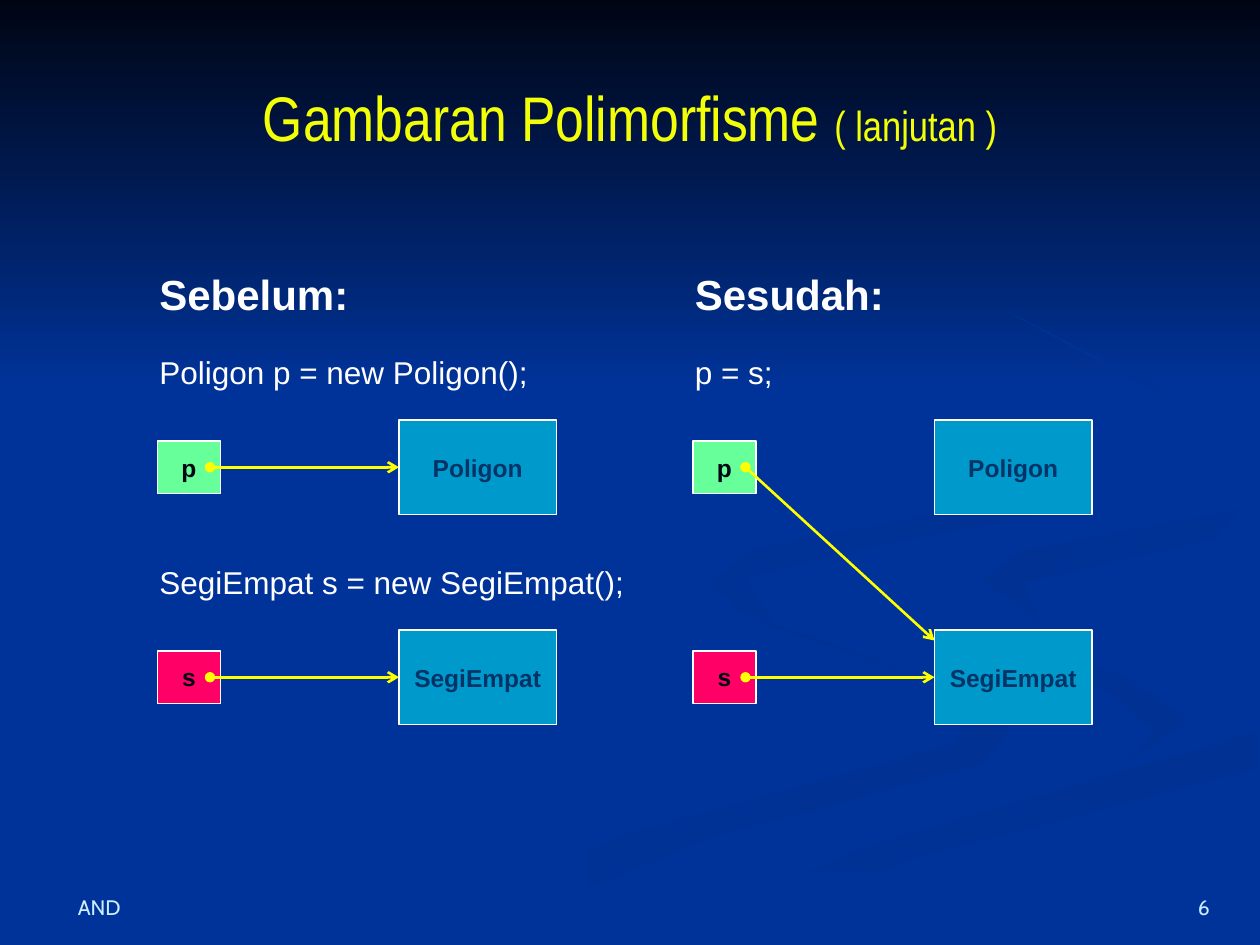
from lxml import etree
from pptx import Presentation
from pptx.dml.color import RGBColor
from pptx.enum.shapes import MSO_CONNECTOR, MSO_SHAPE
from pptx.enum.text import MSO_ANCHOR, PP_ALIGN
from pptx.oxml.ns import qn
from pptx.util import Pt

RECT, STRAIGHT = MSO_SHAPE.RECTANGLE, MSO_CONNECTOR.STRAIGHT
MIDDLE, BOTTOM, TOP = MSO_ANCHOR.MIDDLE, MSO_ANCHOR.BOTTOM, MSO_ANCHOR.TOP
LEFT, CENTER, RIGHT = PP_ALIGN.LEFT, PP_ALIGN.CENTER, PP_ALIGN.RIGHT

NIGHT = RGBColor(0x00, 0x05, 0x14)
BLUE = RGBColor(0x00, 0x33, 0x99)
SHADE = RGBColor(0x00, 0x31, 0x93)
NAVY = RGBColor(0x00, 0x33, 0x66)
TEAL = RGBColor(0x00, 0x99, 0xCC)
GREEN = RGBColor(0x66, 0xFF, 0x99)
PINK = RGBColor(0xFF, 0x00, 0x66)
YELLOW = RGBColor(0xFF, 0xFF, 0x00)
TITLE_YELLOW = RGBColor(0xF3, 0xFF, 0x07)
WHITE = RGBColor(0xFF, 0xFF, 0xFF)
PALE = RGBColor(0xCC, 0xEC, 0xFF)

# Background areas: first colour, last colour, gradient angle, outline in points
BACKDROP = [
    (NIGHT, BLUE, 270, [(0, 0), (720, 0), (720, 222), (0, 222)]),
    (BLUE, SHADE, 0, [(562, 399), (438, 357), (414, 330), (418, 348), (559, 398), (546, 425),
                      (359, 476), (216, 539), (260, 539), (406, 479), (562, 436), (576, 418)]),
    (BLUE, SHADE, 315, [(679, 411), (640, 385), (536, 353), (521, 334), (537, 360),
                        (634, 395), (661, 418), (644, 436)]),
    (SHADE, BLUE, 270, [(362, 539), (411, 539), (520, 491), (719, 439), (719, 418), (501, 482)]),
    (SHADE, BLUE, 315, [(562, 331), (595, 357), (585, 333), (719, 302), (719, 289), (583, 315)]),
    (SHADE, BLUE, 315, [(500, 312), (667, 280), (684, 233), (572, 176), (683, 236), (669, 267),
                        (430, 314), (404, 334), (445, 360), (426, 330)]),
]


def write(sp, text, size, color, font="Arial", bold=False, align=LEFT, anchor=TOP, wrap=True):
    tf = sp.text_frame
    tf.word_wrap = wrap
    tf.vertical_anchor = anchor
    p = tf.paragraphs[0]
    p.text = text
    p.alignment = align
    p.font.name, p.font.size, p.font.bold = font, Pt(size), bold
    p.font.color.rgb = color


prs = Presentation()
prs.slide_width, prs.slide_height = Pt(720), Pt(540)
s = prs.slides.add_slide(prs.slide_layouts[5])
s.background.fill.solid()
s.background.fill.fore_color.rgb = BLUE

for first, last, angle, points in BACKDROP:
    builder = s.shapes.build_freeform(*points[0], scale=Pt(1))
    builder.add_line_segments(points[1:], close=True)
    sp = builder.convert_to_shape()
    sp.shadow.inherit = False
    sp.line.fill.background()
    sp.fill.gradient()
    sp.fill.gradient_angle = angle
    for stop, color, position in zip(sp.fill.gradient_stops, (first, last), (0, 1)):
        stop.color.rgb = color
        stop.position = position

# Title, brought in front of the background
title = s.shapes.title
title.element.getparent().append(title.element)
title.left, title.top, title.width, title.height = Pt(36), Pt(21.6), Pt(648), Pt(90)
write(title, "Gambaran Polimorfisme ", 36, TITLE_YELLOW, "Arial Narrow",
      align=CENTER, anchor=MIDDLE)
r = title.text_frame.paragraphs[0].add_run()
r.text = "( lanjutan )"
r.font.size = Pt(24)

# Two columns, each with a row for p and a row for s
ROWS = [("p", "Poligon", GREEN), ("s", "SegiEmpat", PINK)]
COLUMNS = [
    ("Sebelum:", ["Poligon p = new Poligon();", "SegiEmpat s = new SegiEmpat();"]),
    ("Sesudah:", ["p = s;", None]),
]
for col, (heading, statements) in enumerate(COLUMNS):
    x = 84 + 306 * col
    sp = s.shapes.add_textbox(Pt(x), Pt(150), Pt(282), Pt(36))
    write(sp, heading, 24, WHITE, bold=True)

    for row, (variable, kind, color) in enumerate(ROWS):
        y = 198 + 120 * row
        if statements[row]:
            sp = s.shapes.add_textbox(Pt(x), Pt(y), Pt(282), Pt(28.8))
            write(sp, statements[row], 18, WHITE)

        boxes = [
            (variable, color, NIGHT, x + 6, y + 54, 36, 30),
            (kind, TEAL, NAVY, x + 144, y + 42, 90, 54),
        ]
        for text, fill, ink, left, top, width, height in boxes:
            sp = s.shapes.add_shape(RECT, Pt(left), Pt(top), Pt(width), Pt(height))
            sp.shadow.inherit = False
            sp.fill.solid()
            sp.fill.fore_color.rgb = fill
            sp.line.color.rgb = WHITE
            sp.line.width = Pt(0.75)
            write(sp, text, 14, ink, bold=True, align=CENTER, anchor=MIDDLE, wrap=False)

        # After the assignment, p points at the corner of the SegiEmpat box
        reassigned = col == 1 and variable == "p"
        y_start = y + 69
        y_end = 366 if reassigned else y_start
        arrow = s.shapes.add_connector(STRAIGHT, Pt(x + 36), Pt(y_start), Pt(x + 144), Pt(y_end))
        if not reassigned:
            arrow.end_connect(sp, 1)
        arrow.line.color.rgb = YELLOW
        arrow.line.width = Pt(1.5)
        properties = arrow.element.spPr
        ln = properties.find(qn("a:ln"))
        etree.SubElement(ln, qn("a:headEnd"), type="oval")
        etree.SubElement(ln, qn("a:tailEnd"), type="arrow")
        etree.SubElement(properties, qn("a:effectLst"))

# Footer and slide number
for text, left, width, align in [("AND", 37.4, 196.6, LEFT), ("6", 648.7, 49.7, RIGHT)]:
    sp = s.shapes.add_textbox(Pt(left), Pt(491.8), Pt(width), Pt(37.4))
    write(sp, text, 12, PALE, "Cabin", align=align, anchor=BOTTOM)

prs.save("out.pptx")
